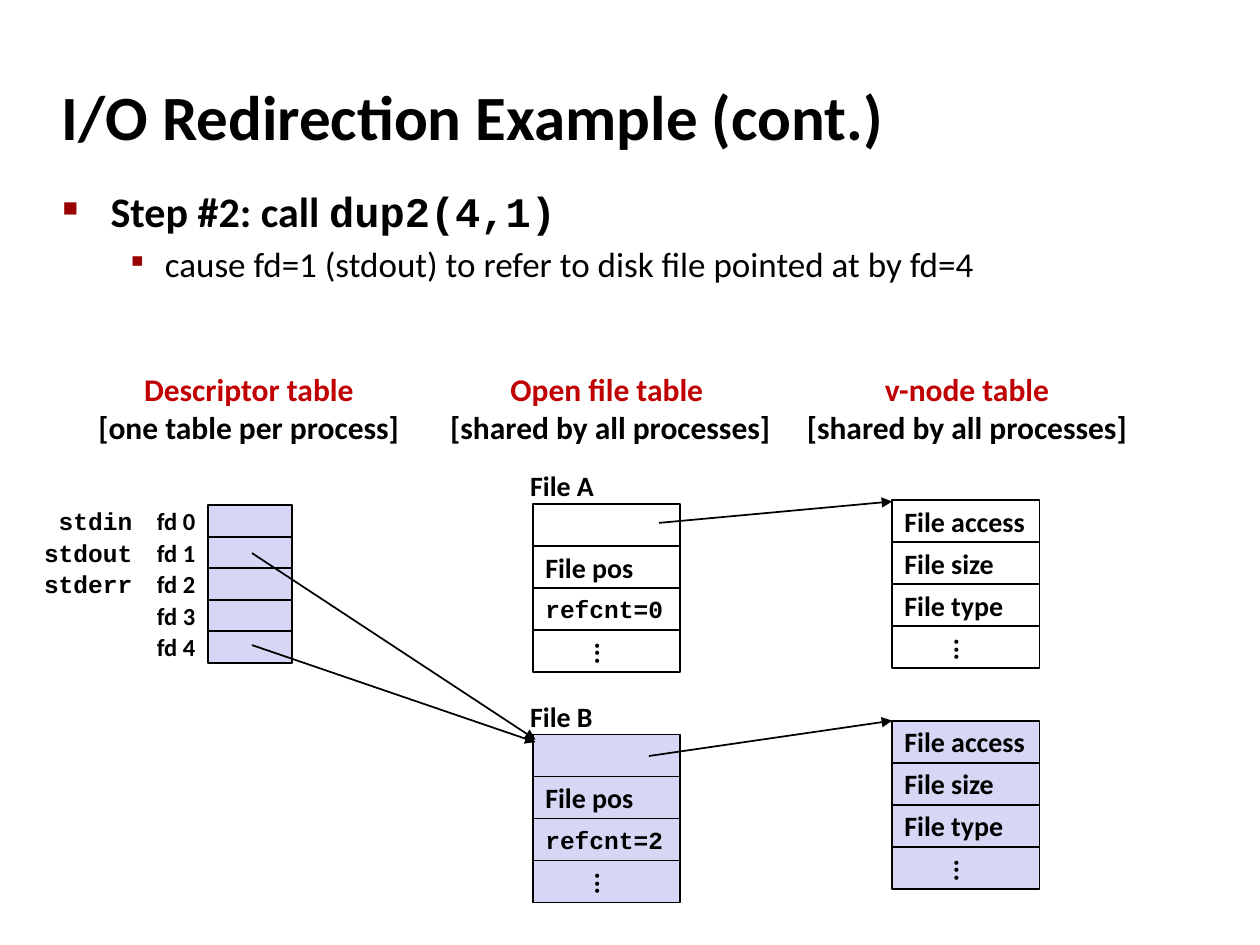
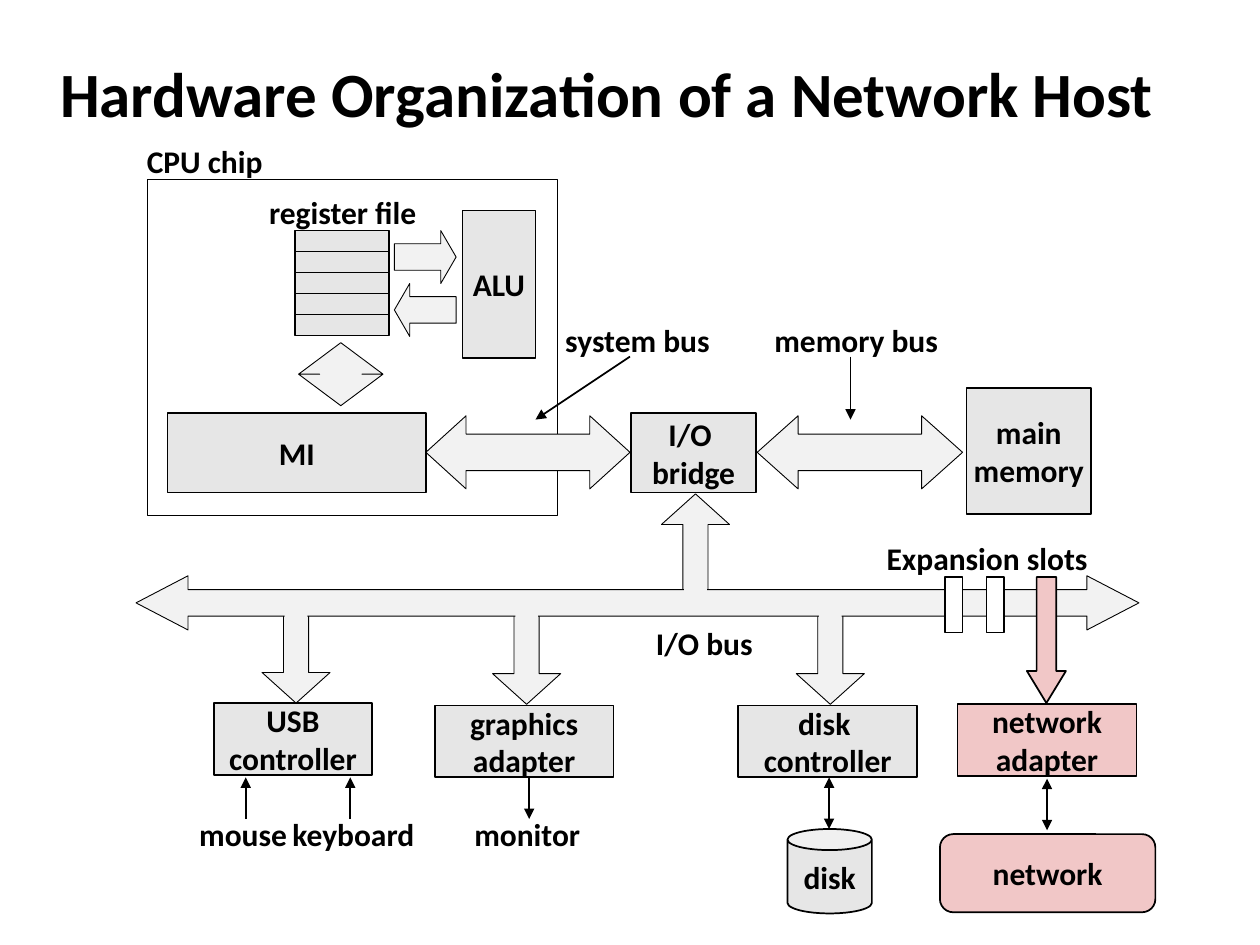
from dataclasses import dataclass

from lxml import etree
from pptx import Presentation
from pptx.dml.color import RGBColor
from pptx.enum.shapes import MSO_CONNECTOR, MSO_SHAPE
from pptx.enum.text import MSO_ANCHOR, PP_ALIGN
from pptx.oxml.ns import qn
from pptx.util import Inches, Pt

RECT, ROUNDED, CAN = MSO_SHAPE.RECTANGLE, MSO_SHAPE.ROUNDED_RECTANGLE, MSO_SHAPE.CAN
UP, DOWN = MSO_SHAPE.UP_ARROW, MSO_SHAPE.DOWN_ARROW
LEFT_ARROW, RIGHT_ARROW = MSO_SHAPE.LEFT_ARROW, MSO_SHAPE.RIGHT_ARROW
ACROSS, UP_DOWN = MSO_SHAPE.LEFT_RIGHT_ARROW, MSO_SHAPE.UP_DOWN_ARROW
STRAIGHT = MSO_CONNECTOR.STRAIGHT
LEFT, CENTER, RIGHT = PP_ALIGN.LEFT, PP_ALIGN.CENTER, PP_ALIGN.RIGHT
TOP, MIDDLE = MSO_ANCHOR.TOP, MSO_ANCHOR.MIDDLE

# The slide is a grid of 100 columns by 75 rows
COLUMNS, ROWS = 100, 75
WIDTH, HEIGHT = Inches(10), Inches(7.5)


@dataclass(frozen=True)
class Theme:
    sans: str = "Calibri"
    mono: str = "Courier New"
    ink: str = "000000"
    heading: str = "C00000"
    bullet: str = "990000"
    white: str = "FFFFFF"
    lilac: str = "D6D6F5"
    grey: str = "E6E6E6"
    bus: str = "F2F2F2"
    pink: str = "F1C7C7"
    title_size: int = 36
    step_size: int = 24
    detail_size: int = 20
    label_size: int = 18
    field_size: int = 16
    code_size: int = 14
    line: float = 1
    thin: float = 0.5
    hairline: float = 0.25


THEME = Theme()
CODE = {"name": THEME.mono, "size": THEME.code_size}
FIELD = {"size": THEME.field_size}


def x(column):
    return round(WIDTH * column / COLUMNS)


def y(row):
    return round(HEIGHT * row / ROWS)


def place(column, row, columns, rows):
    return x(column), y(row), x(columns), y(rows)


# Text

def add_run(paragraph, text, color=THEME.ink, size=THEME.label_size, **style):
    run = paragraph.add_run()
    run.text = text
    values = {"name": THEME.sans, "bold": True, "size": Pt(size), **style}
    for attribute, value in values.items():
        setattr(run.font, attribute, value)
    run.font.color.rgb = RGBColor.from_string(color)


def setup_frame(shape, wrap=False, anchor=MIDDLE):
    for attribute, value in {"word_wrap": wrap, "vertical_anchor": anchor}.items():
        setattr(shape.text_frame, attribute, value)
    return shape.text_frame


def write(shape, lines, align=CENTER, wrap=False, first_color=THEME.ink, **style):
    frame = setup_frame(shape, wrap)
    for index, text in enumerate(lines.split("\n")):
        paragraph = frame.paragraphs[0] if index == 0 else frame.add_paragraph()
        paragraph.alignment = align
        add_run(paragraph, text, THEME.ink if index else first_color, **style)


def add_label(slide, grid, text, **style):
    write(slide.shapes.add_textbox(*place(*grid)), text, **style)


def add_title(slide, grid, text):
    add_label(slide, grid, text, align=LEFT, wrap=True, size=THEME.title_size)


def add_bullet(paragraph, symbol, percent, margin, indent, size):
    paragraph.space_before = Pt(size * 0.2)
    properties = paragraph._p.get_or_add_pPr()
    properties.set("marL", str(x(margin)))
    properties.set("indent", str(-x(indent)))
    color = etree.SubElement(properties, qn("a:buClr"))
    etree.SubElement(color, qn("a:srgbClr"), val=THEME.bullet)
    etree.SubElement(properties, qn("a:buSzPct"), val=str(percent * 1000))
    etree.SubElement(properties, qn("a:buFont"), typeface=THEME.mono)
    etree.SubElement(properties, qn("a:buChar"), char=symbol)


# Shapes and lines

def add_block(slide, grid, fill=THEME.grey, text="", kind=RECT,
              line=THEME.line, adjust=(), **style):
    block = slide.shapes.add_shape(kind, *place(*grid))
    block.shadow.inherit = False
    for index, value in enumerate(adjust):
        block.adjustments[index] = value
    if fill:
        block.fill.solid()
        block.fill.fore_color.rgb = RGBColor.from_string(fill)
    else:
        block.fill.background()
    if line:
        block.line.color.rgb = RGBColor.from_string(THEME.ink)
        block.line.width = Pt(line)
    else:
        block.line.fill.background()
    if text:
        write(block, text, **style)
    return block


def add_bus_arrow(slide, kind, grid, adjust):
    add_block(slide, grid, THEME.bus, kind=kind, line=THEME.thin, adjust=adjust)


def add_pointer(slide, start, end, ends=("tailEnd",)):
    pointer = slide.shapes.add_connector(
        STRAIGHT, x(start[0]), y(start[1]), x(end[0]), y(end[1]))
    pointer.line.color.rgb = RGBColor.from_string(THEME.ink)
    pointer.line.width = Pt(THEME.line)
    properties = pointer.element.spPr
    outline = properties.find(qn("a:ln"))
    for end_name in ends:
        etree.SubElement(outline, qn("a:" + end_name), type="triangle")
    etree.SubElement(properties, qn("a:effectLst"))


def add_record(slide, column, row, fill, fields):
    """Stack the fields of one table entry; the last field is a vertical ellipsis."""
    height = 10 / 3
    for index, (text, style) in enumerate([*fields, ("...", FIELD)]):
        field = add_block(slide, (column, row + index * height, 11.7, height),
                          fill, text, align=LEFT, **style)
        if text == "...":
            field.element.txBody.bodyPr.set("vert", "eaVert")


# Slide 1

def build_redirection(slide):
    add_title(slide, (3.9, 5, 83, 8.3), "I/O Redirection Example (cont.)")

    body = slide.shapes.add_textbox(*place(4, 14.2, 94.3, 10.8))
    frame = setup_frame(body, wrap=True, anchor=TOP)
    step, detail = frame.paragraphs[0], frame.add_paragraph()
    add_bullet(step, "■", 60, 3.8, 3.8, THEME.step_size)
    add_run(step, "Step #2: call ", size=THEME.step_size)
    add_run(step, "dup2(4,1)", size=THEME.step_size, name=THEME.mono)
    add_bullet(detail, "▪", 110, 8.1, 3.1, THEME.detail_size)
    add_run(detail, "cause fd=1 (stdout) to refer to disk file pointed at by fd=4",
            size=THEME.detail_size, bold=False)

    # Table headings
    for column, columns, heading, sharing in (
            (6.7, 26.1, "Descriptor table", "one table per process"),
            (34.6, 27.7, "Open file table ", "shared by all processes"),
            (62.9, 27.7, "v-node table", "shared by all processes")):
        add_label(slide, (column, 28.8, columns, 7.1), f"{heading}\n[{sharing}]",
                  first_color=THEME.heading)

    # Descriptor table
    for number in range(5):
        row = 40.1 + number * 2.5
        add_block(slide, (16.5, row, 6.7, 2.5), THEME.lilac)
        add_label(slide, (9.8, row, 6.7, 2.5), f"fd {number}", align=RIGHT,
                  size=THEME.code_size)
    for number, stream in enumerate(("stdin", "stdout", "stderr")):
        add_label(slide, (2.5, 39.7 + number * 2.5, 9, 3.3), stream,
                  align=RIGHT, **CODE)

    # Open files and their v-nodes
    file_info = [(f"File {name}", FIELD) for name in ("access", "size", "type")]
    for name, count, fill, file_row, node_row in (
            ("A", 0, THEME.white, 40, 39.7), ("B", 2, THEME.lilac, 58.3, 57.2)):
        add_record(slide, 42.3, file_row, fill,
                   [("", {}), ("File pos", FIELD), (f"refcnt={count}", CODE)])
        add_record(slide, 70.8, node_row, fill, file_info)
        add_label(slide, (41.1, file_row - 3.3, 9, 3.7), f"File {name}",
                  align=LEFT, wrap=True, **FIELD)

    for start, end in (((20, 43.9), (42.5, 58.7)), ((20, 51.2), (42.5, 58.9)),
                       ((52.3, 41.5), (70.8, 39.8)), ((51.5, 60), (70.8, 57.2))):
        add_pointer(slide, start, end)


# Slide 2

def build_hardware(slide):
    add_title(slide, (3.8, 3.1, 95.3, 8.5), "Hardware Organization of a Network Host")
    stem = (0.37, 0.45)

    # CPU chip
    add_block(slide, (11.7, 14.2, 32.5, 26.7), None, line=THEME.hairline)
    for register in range(5):
        add_block(slide, (23.4, 18.3 + register * 5 / 3, 7.5, 5 / 3))
    add_bus_arrow(slide, RIGHT_ARROW, (31.3, 18.3, 4.9, 4.2), (0.5, 0.29))
    add_bus_arrow(slide, LEFT_ARROW, (31.3, 22.5, 4.9, 4.2), (0.5, 0.29))
    add_bus_arrow(slide, UP_DOWN, (23.7, 27.2, 6.7, 5), (0.2, 0.5))

    # System bus and memory bus
    add_bus_arrow(slide, ACROSS, (33.8, 33, 16.2, 5.8), (0.5, 0.55))
    add_bus_arrow(slide, ACROSS, (60.1, 33, 16.3, 5.8), (0.5, 0.56))

    # Branches, then the I/O bus, then patches that open the joins
    branches = ((UP, 52.5, 39.2, 8.3, 46.7), (DOWN, 20.8, 47.9, 7.9, 47.6),
                (DOWN, 39.1, 48.1, 7.8, 47.4), (DOWN, 63.2, 48.1, 7.8, 47.3))
    for kind, column, row, rows, _ in branches:
        add_bus_arrow(slide, kind, (column, row, 5.4, rows), stem)
    add_bus_arrow(slide, ACROSS, (10.8, 45.7, 79.6, 4.3), (0.49, 0.96))
    for _, column, _, _, patch_row in branches:
        add_block(slide, (column + 1.8, patch_row, 1.8, 1.7), THEME.bus, line=None)

    # Expansion slots
    for column in (75, 78.3):
        add_block(slide, (column, 45.8, 1.4, 4.4), THEME.white)
    add_block(slide, (81.5, 45.8, 3.1, 10), THEME.pink, kind=DOWN, adjust=(0.5, 0.82))

    # Units
    for grid, fill, text in (
            ((13.3, 32.8, 20.5, 6.3), THEME.grey, "MI"),
            ((36.7, 16.7, 5.8, 11.7), THEME.grey, "ALU"),
            ((50.1, 32.8, 9.9, 6.3), THEME.grey, "I/O \nbridge"),
            ((76.7, 30.8, 9.9, 10), THEME.grey, "main\nmemory"),
            ((17, 55.8, 12.5, 5.7), THEME.grey, "USB\ncontroller"),
            ((34.5, 56, 14.2, 5.7), THEME.grey, "graphics\nadapter"),
            ((58.6, 56, 14.2, 5.7), THEME.grey, "disk \ncontroller"),
            ((76, 55.9, 14.2, 5.7), THEME.pink, "network\nadapter")):
        add_block(slide, grid, fill, text)
    add_block(slide, (62.5, 65.8, 6.7, 6.7), THEME.grey, "disk", CAN, adjust=(0.25,))
    add_block(slide, (74.6, 66.2, 17.1, 6.2), THEME.pink, "network", ROUNDED,
              adjust=(0.17,))

    # Labels
    for column, row, columns, text in (
            (10.6, 10.8, 11.3, "CPU chip"), (20.3, 14.8, 13.8, "register file"),
            (43.8, 25, 13.6, "system bus"), (60.4, 25, 15.1, "memory bus"),
            (51, 49, 9.8, "I/O bus"), (69.3, 42.3, 18.1, "Expansion slots"),
            (14.8, 64.2, 9, "mouse"), (22.2, 64.2, 11.7, "keyboard"),
            (36.6, 64.2, 10.5, "monitor")):
        add_label(slide, (column, row, columns, 4), text)

    # Pointers and device links
    both = ("headEnd", "tailEnd")
    add_pointer(slide, (50, 28.3), (42.5, 33.3))
    add_pointer(slide, (67.5, 28.3), (67.5, 33.3))
    for column in (19.5, 27.8):
        add_pointer(slide, (column, 65), (column, 61.7))
    add_pointer(slide, (42, 61.7), (42, 65))
    add_pointer(slide, (65.8, 61.7), (65.8, 65.8), both)
    add_pointer(slide, (83.1, 61.8), (83.1, 65.9), both)


def main():
    deck = Presentation()
    deck.slide_width, deck.slide_height = WIDTH, HEIGHT
    blank = deck.slide_layouts[6]
    for build in (build_redirection, build_hardware):
        build(deck.slides.add_slide(blank))
    deck.save("out.pptx")


if __name__ == "__main__":
    main()
